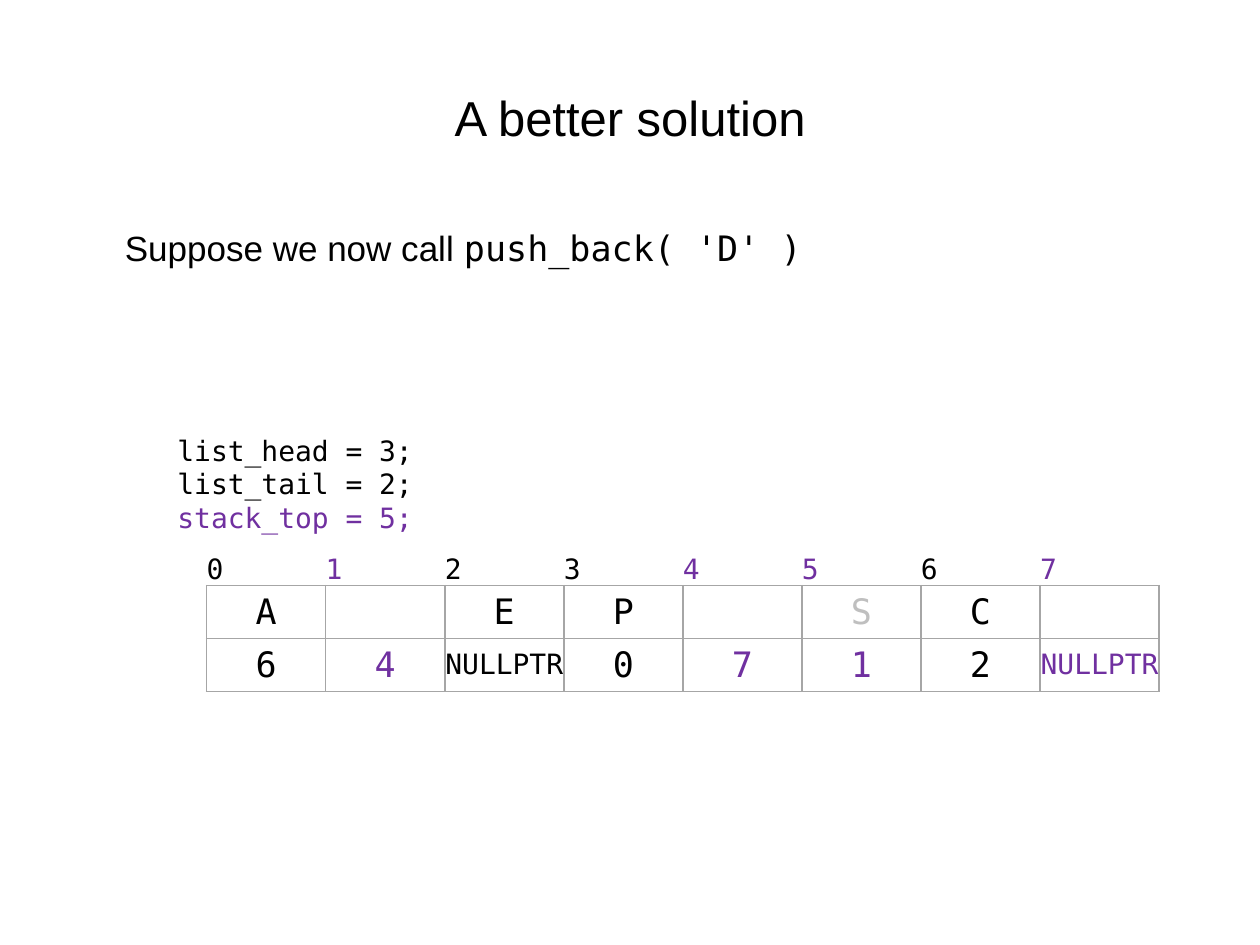
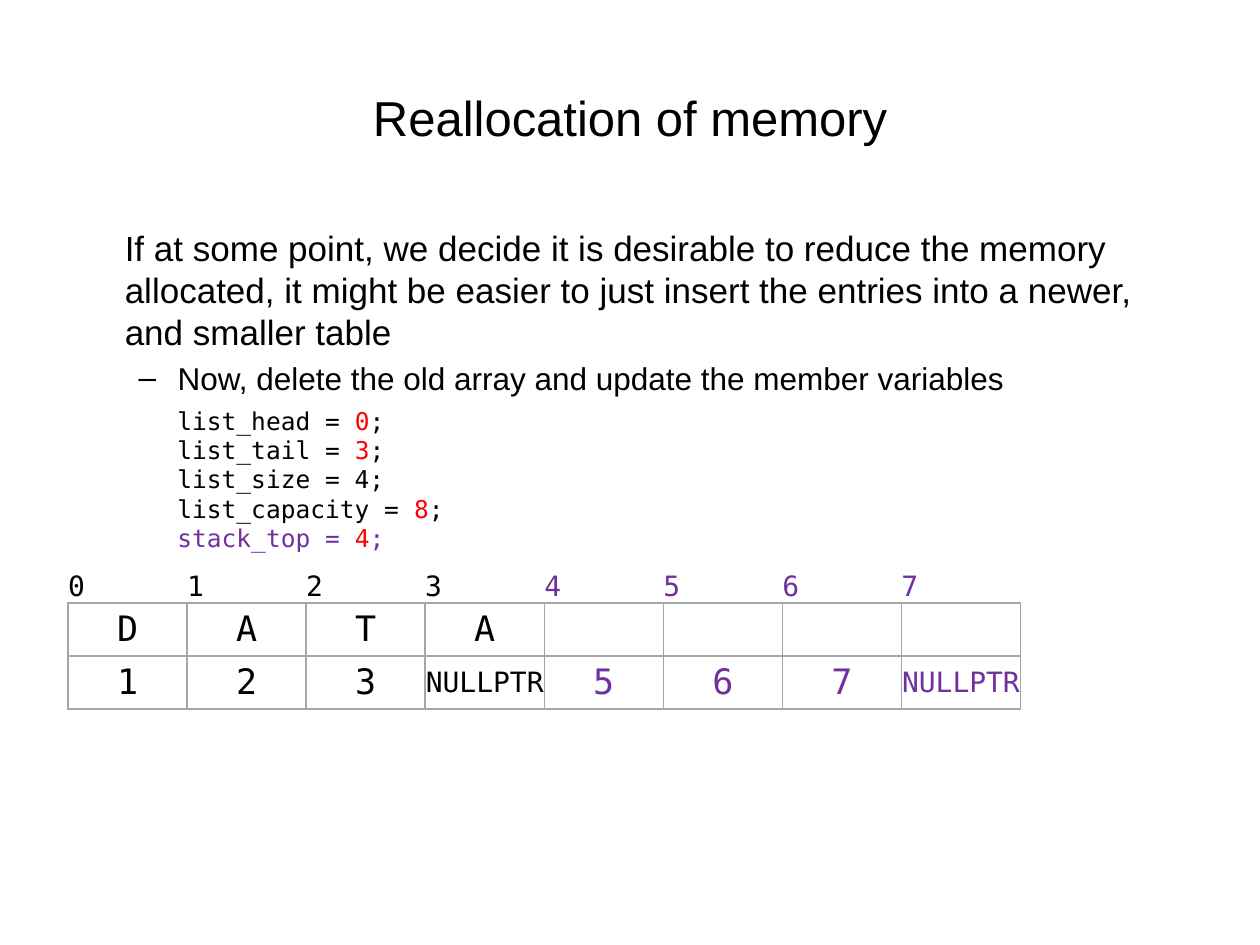
"""Build two slides on a linked list stored in an array."""
from dataclasses import dataclass

from lxml.etree import SubElement
from pptx import Presentation
from pptx.dml.color import RGBColor
from pptx.enum.text import MSO_ANCHOR, MSO_AUTO_SIZE, PP_ALIGN
from pptx.oxml.ns import qn
from pptx.util import Inches, Pt


@dataclass(frozen=True)
class Theme:
    sans: str = "Arial"
    mono: str = "DejaVu Sans Mono"
    ink: str = "000000"
    free: str = "7030A0"
    changed: str = "FF0000"
    stale: str = "BFBFBF"
    grid: str = "A6A6A6"
    title: int = 28
    body: int = 20
    sub: int = 18
    small: int = 16


theme = Theme()


def add_text(p, text, size=theme.body, font=theme.sans, color=theme.ink):
    r = p.add_run()
    r.text = text
    r.font.size, r.font.name, r.font.bold = Pt(size), font, False
    r.font.color.rgb = RGBColor.from_string(color)


def add_border(cell, sides):
    for side in sides:
        ln = SubElement(cell._tc.get_or_add_tcPr(), qn(f"a:ln{side}"), w=str(Pt(1)))
        fill = SubElement(ln, qn("a:solidFill"))
        SubElement(fill, qn("a:srgbClr"), val=theme.grid)


slides = [
    {
        "title": "A better solution",
        "lead": [("Suppose we now call ", theme.sans), ("push_back( 'D' )", theme.mono)],
        "sub": None,
        "code": [
            ("list_head", "3", theme.ink, theme.ink),
            ("list_tail", "2", theme.ink, theme.ink),
            ("stack_top", "5", theme.free, theme.free),
        ],
        "code_box": (1.31, 3.39, 2.39, 0.91),
        "code_size": 16,
        "table_at": (1.64, 4.39),
        "entries": ["A", "", "E", "P", "", "S", "C", ""],
        "links": ["6", "4", "NULLPTR", "0", "7", "1", "2", "NULLPTR"],
        "free": {1, 4, 5, 7},
    },
    {
        "title": "Reallocation of memory",
        "lead": [("If at some point, we decide it is desirable to reduce the memory "
                  "allocated, it might be easier to just insert the entries into a newer, "
                  "and smaller table", theme.sans)],
        "sub": "Now, delete the old array and update the member variables",
        "code": [
            ("list_head", "0", theme.ink, theme.changed),
            ("list_tail", "3", theme.ink, theme.changed),
            ("list_size", "4", theme.ink, theme.ink),
            ("list_capacity", "8", theme.ink, theme.changed),
            ("stack_top", "4", theme.free, theme.changed),
        ],
        "code_box": (1.31, 3.17, 2.99, 1.28),
        "code_size": 14,
        "table_at": (0.54, 4.53),
        "entries": ["D", "A", "T", "A", "", "", "", ""],
        "links": ["1", "2", "3", "NULLPTR", "5", "6", "7", "NULLPTR"],
        "free": {4, 5, 6, 7},
    },
]
row_heights = [0.25, 0.42, 0.42]
table_width = 7.56

prs = Presentation()
prs.slide_width, prs.slide_height = Inches(10), Inches(7.5)

for data in slides:
    s = prs.slides.add_slide(prs.slide_layouts[1])
    title, body = s.placeholders
    for sp, top, height in ((title, 0.3, 1.25), (body, 1.75, 4.95)):
        sp.left, sp.top, sp.width, sp.height = map(Inches, (0.5, top, 9, height))
    p = title.text_frame.paragraphs[0]
    p.alignment = PP_ALIGN.CENTER
    add_text(p, data["title"], size=theme.title)

    tf = body.text_frame
    p = tf.paragraphs[0]
    pPr = p._p.get_or_add_pPr()
    pPr.set("marL", str(Inches(0.39)))
    pPr.set("indent", "0")
    SubElement(pPr, qn("a:buNone"))
    for text, font in data["lead"]:
        add_text(p, text, font=font)
    if data["sub"]:
        p = tf.add_paragraph()
        p.level = 1
        pPr = p._p.get_or_add_pPr()
        pPr.set("marL", str(Inches(0.81)))
        pPr.set("indent", str(Inches(-0.31)))
        SubElement(pPr, qn("a:buChar"), char="–")
        add_text(p, data["sub"], size=theme.sub)

    rows = [[str(i) for i in range(8)], data["entries"], data["links"]]
    frame = s.shapes.add_table(3, 8, *map(Inches, (*data["table_at"], table_width, sum(row_heights))))
    table = frame.table
    table.first_row = table.horz_banding = False
    for column in table.columns:
        column.width = Inches(table_width / 8)
    for i, (height, row) in enumerate(zip(row_heights, rows)):
        table.rows[i].height = Inches(height)
        for j, text in enumerate(row):
            cell = table.cell(i, j)
            cell.margin_left = cell.margin_right = cell.margin_top = cell.margin_bottom = 0
            cell.vertical_anchor = MSO_ANCHOR.MIDDLE
            add_border(cell, "LRTB" if i else "B")
            cell.fill.background()
            if text:
                p = cell.text_frame.paragraphs[0]
                p.alignment = PP_ALIGN.CENTER if i else PP_ALIGN.LEFT
                color = theme.free if j in data["free"] else theme.ink
                if i == 1 and j in data["free"]:
                    color = theme.stale
                size = theme.small if i == 0 or text == "NULLPTR" else theme.body
                add_text(p, text, size=size, font=theme.mono, color=color)

    tf = s.shapes.add_textbox(*map(Inches, data["code_box"])).text_frame
    tf.word_wrap = True
    tf.auto_size = MSO_AUTO_SIZE.SHAPE_TO_FIT_TEXT
    for i, (name, value, color, value_color) in enumerate(data["code"]):
        p = tf.add_paragraph() if i else tf.paragraphs[0]
        for text, shade in ((f"{name} = ", color), (value, value_color), (";", color)):
            add_text(p, text, size=data["code_size"], font=theme.mono, color=shade)

prs.save("out.pptx")
